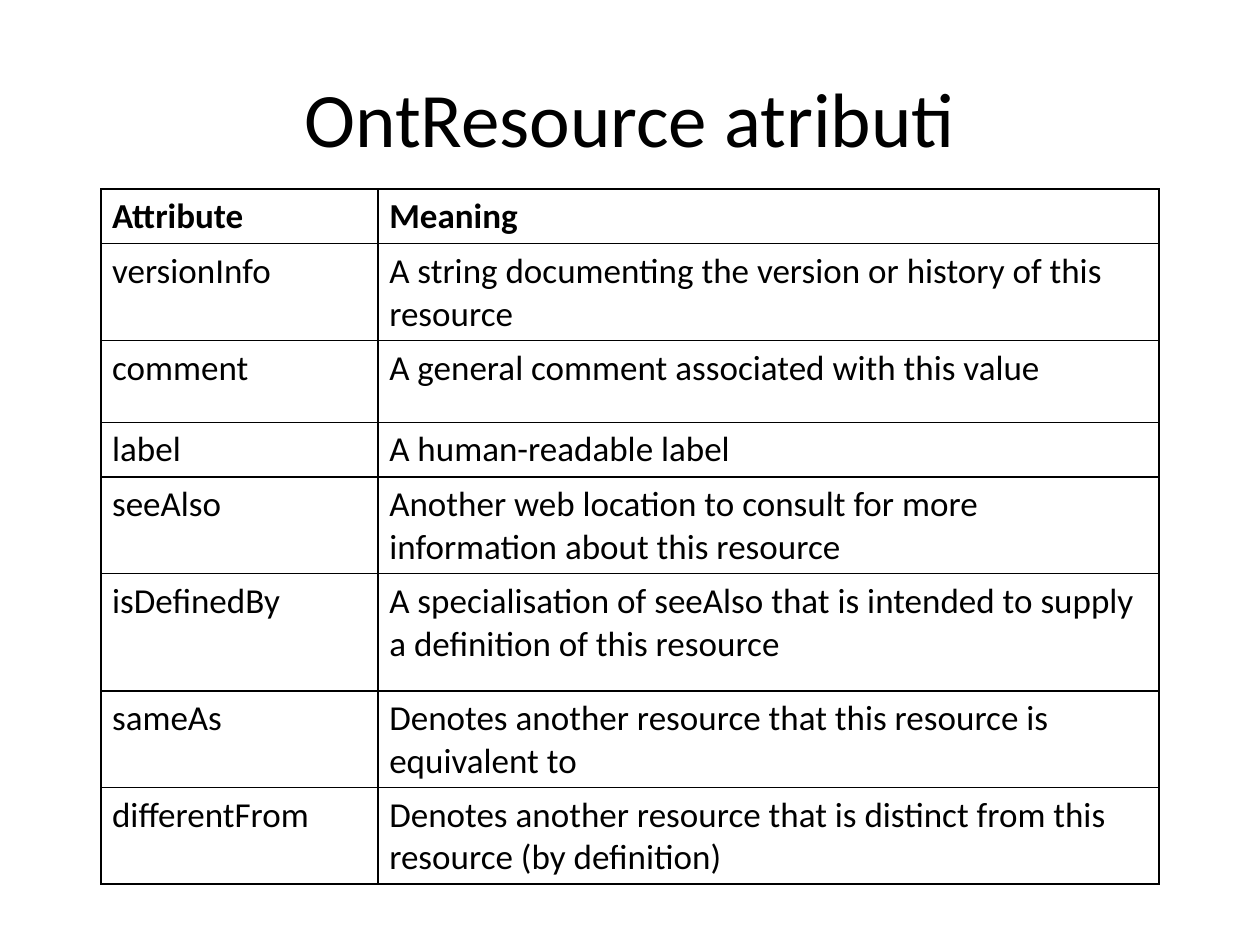
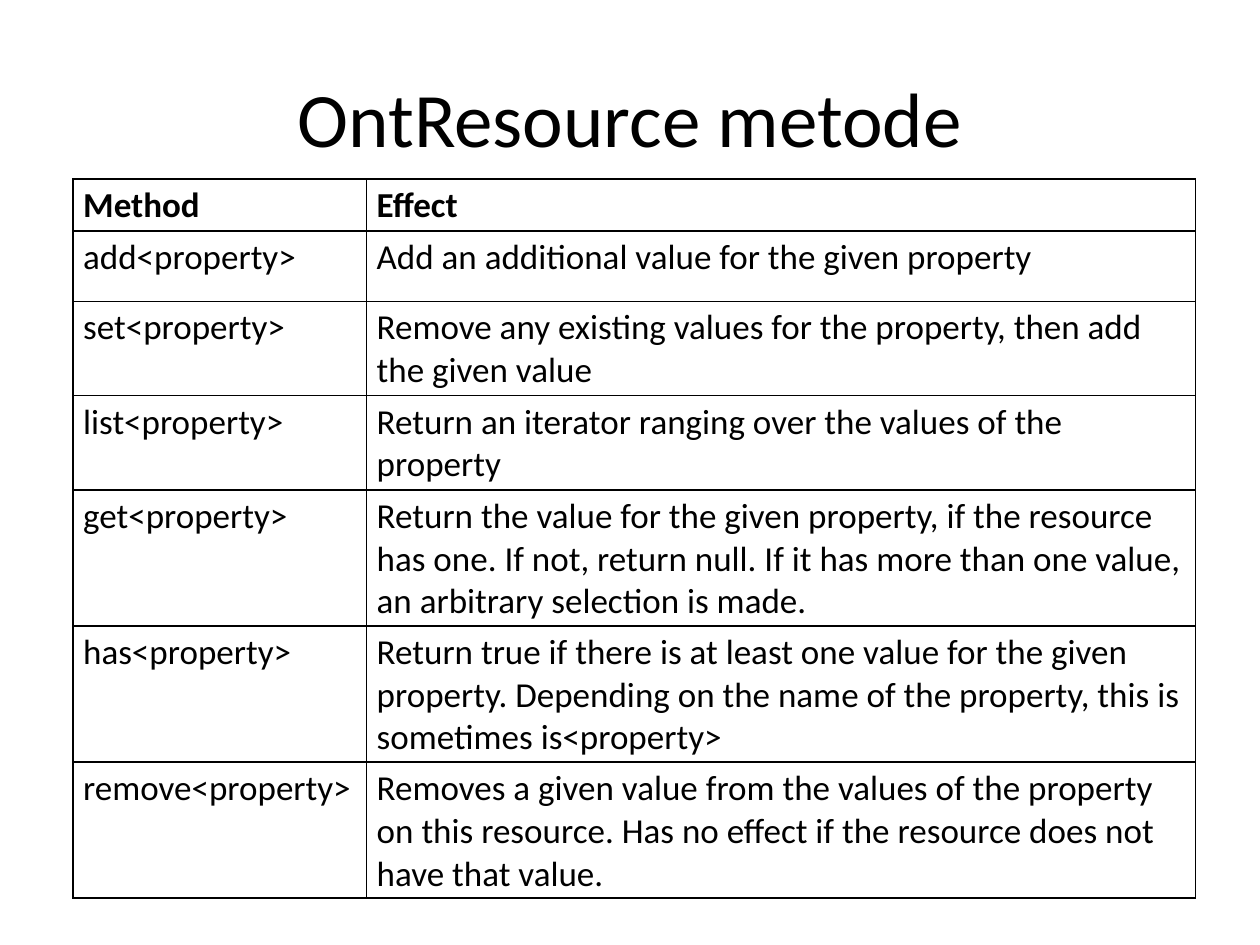
from dataclasses import dataclass

from lxml import etree
from pptx import Presentation
from pptx.dml.color import RGBColor
from pptx.enum.text import MSO_ANCHOR, PP_ALIGN
from pptx.oxml.ns import qn
from pptx.util import Inches, Pt

CENTER = PP_ALIGN.CENTER
MIDDLE = MSO_ANCHOR.MIDDLE
TOP = MSO_ANCHOR.TOP


@dataclass(frozen=True)
class Theme:
    font: str = "Calibri"
    ink: str = "000000"
    paper: str = "FFFFFF"
    title_size: int = 44
    body_size: int = 20
    border_width: int = 1


theme = Theme()

topics = [
    {
        "title": "OntResource atributi",
        "frame": (0.8, 1.5, 8.41, 5.48),
        "columns": (2.2, 6.2),
        "heights": (0.37, 0.65, 0.65, 0.37, 0.65, 0.93, 0.65, 0.65),
        "margins": (0.09, 0.05),
        "entries": [
            ("Attribute", "Meaning"),
            ("versionInfo", "A string documenting the version or history of this resource"),
            ("comment", "A general comment associated with this value"),
            ("label", "A human-readable label"),
            ("seeAlso", "Another web location to consult for more information about this resource"),
            ("isDefinedBy", "A specialisation of seeAlso that is intended to supply "
                            "a definition of this resource"),
            ("sameAs", "Denotes another resource that this resource is equivalent to"),
            ("differentFrom", "Denotes another resource that is distinct from this "
                              "resource (by definition)"),
        ],
    },
    {
        "title": "OntResource metode",
        "frame": (0.58, 1.42, 8.92, 5.69),
        "columns": (2.33, 6.58),
        "heights": (0.32, 0.56, 0.56, 0.56, 1.03, 1.03, 1.03),
        "margins": (0.08, 0.04),
        "entries": [
            ("Method", "Effect"),
            ("add<property>", "Add an additional value for the given property"),
            ("set<property>", "Remove any existing values for the property, then add the given value"),
            ("list<property>", "Return an iterator ranging over the values of the property"),
            ("get<property>", "Return the value for the given property, if the resource has one. "
                              "If not, return null. If it has more than one value, "
                              "an arbitrary selection is made."),
            ("has<property>", "Return true if there is at least one value for the given property. "
                              "Depending on the name of the property, this is sometimes is<property>"),
            ("remove<property>", "Removes a given value from the values of the property on this "
                                 "resource. Has no effect if the resource does not have that value."),
        ],
    },
]


def write(text_frame, text, size, bold=False):
    text_frame.text = text
    text_frame.word_wrap = True
    font = text_frame.paragraphs[0].runs[0].font
    font.name = theme.font
    font.size = Pt(size)
    font.bold = bold
    font.color.rgb = RGBColor.from_string(theme.ink)


def outline(cell):
    properties = cell._tc.get_or_add_tcPr()
    for side in ("a:lnL", "a:lnR", "a:lnT", "a:lnB"):
        border = etree.SubElement(properties, qn(side), w=str(Pt(theme.border_width)))
        fill = etree.SubElement(border, qn("a:solidFill"))
        etree.SubElement(fill, qn("a:srgbClr"), val=theme.ink)


prs = Presentation()
prs.slide_width = Inches(10)
prs.slide_height = Inches(7.5)
blank = prs.slide_layouts[6]

for topic in topics:
    slide = prs.slides.add_slide(blank)
    slide.background.fill.solid()
    slide.background.fill.fore_color.rgb = RGBColor.from_string(theme.paper)

    heading = slide.shapes.add_textbox(Inches(0.5), Inches(0.3), Inches(9), Inches(1.25))
    write(heading.text_frame, topic["title"], theme.title_size)
    heading.text_frame.vertical_anchor = MIDDLE
    heading.text_frame.paragraphs[0].alignment = CENTER

    entries = topic["entries"]
    frame = slide.shapes.add_table(len(entries), 2, *map(Inches, topic["frame"]))
    glossary = frame.table
    glossary.first_row = False
    glossary.horz_banding = False
    for column, width in zip(glossary.columns, topic["columns"]):
        column.width = Inches(width)
    for row, height in zip(glossary.rows, topic["heights"]):
        row.height = Inches(height)
    frame.height = Inches(topic["frame"][3])

    side_margin, end_margin = map(Inches, topic["margins"])
    for row_index, entry in enumerate(entries):
        is_header = row_index == 0
        for column_index, text in enumerate(entry):
            cell = glossary.cell(row_index, column_index)
            write(cell.text_frame, text, theme.body_size, is_header)
            cell.vertical_anchor = MIDDLE if is_header else TOP
            cell.margin_left = cell.margin_right = side_margin
            cell.margin_top = cell.margin_bottom = end_margin
            outline(cell)
            cell.fill.background()

prs.save("out.pptx")
